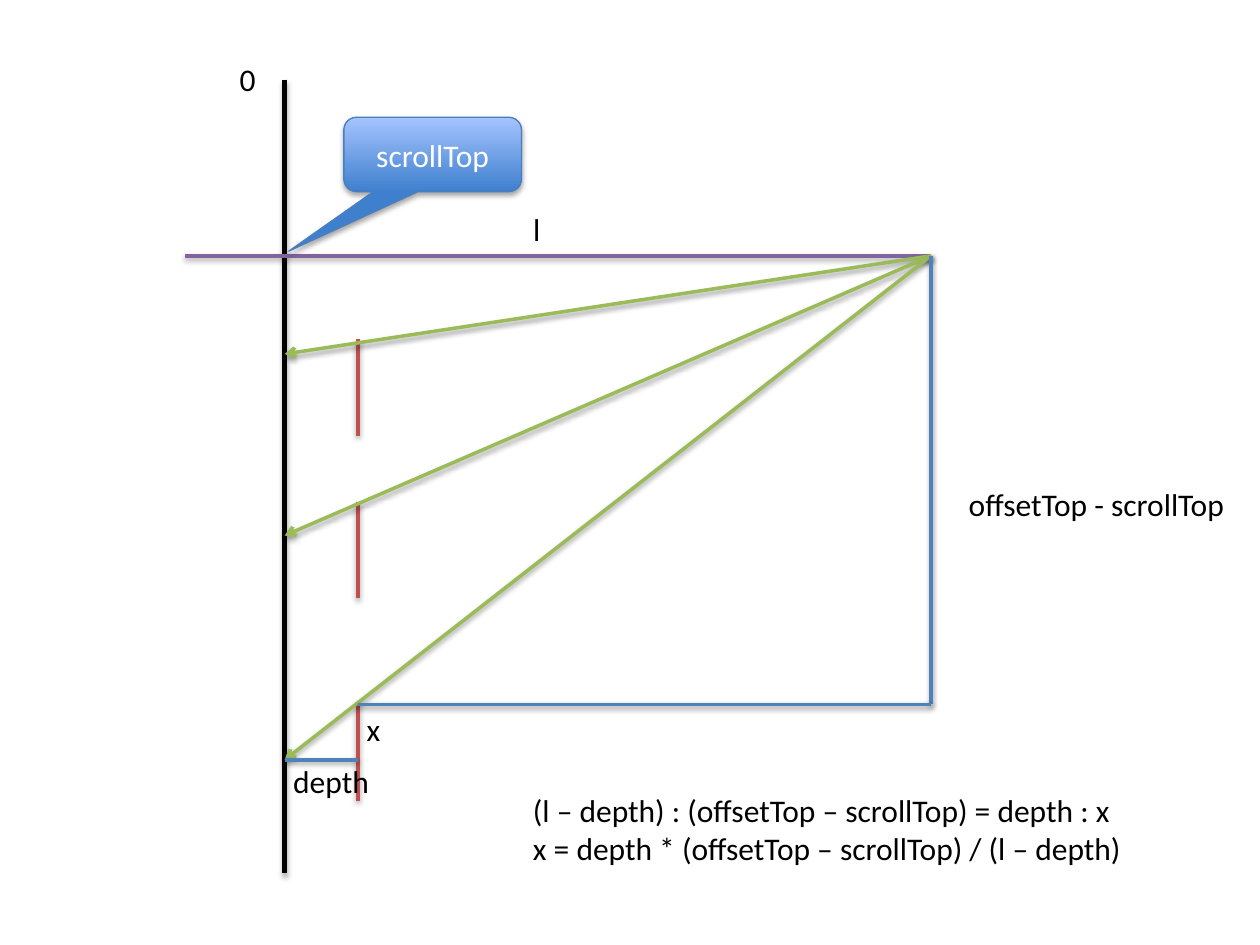
from pptx import Presentation
from pptx.dml.color import RGBColor
from pptx.enum.shapes import MSO_CONNECTOR, MSO_SHAPE
from pptx.enum.text import MSO_ANCHOR, MSO_AUTO_SIZE, PP_ALIGN
from pptx.oxml import parse_xml
from pptx.oxml.ns import nsdecls
from pptx.util import Pt

BLACK = RGBColor(0x00, 0x00, 0x00)
WHITE = RGBColor(0xFF, 0xFF, 0xFF)
RED = RGBColor(0xC0, 0x50, 0x4D)
PURPLE = RGBColor(0x80, 0x64, 0xA2)
GREEN = RGBColor(0x9B, 0xBB, 0x59)
BLUE = RGBColor(0x4F, 0x81, 0xBD)
EDGE = RGBColor(0x4B, 0x7E, 0xBC)
DEEP = RGBColor(0x3F, 0x80, 0xCE)
PALE = RGBColor(0xA4, 0xC4, 0xFF)


def shade(shape, far, alpha):
    shape._element.spPr.append(parse_xml(
        f'<a:effectLst {nsdecls("a")}>'
        f'<a:outerShdw blurRad="{Pt(3.1)}" dist="{Pt(far)}" dir="5400000" rotWithShape="0">'
        f'<a:srgbClr val="000000"><a:alpha val="{alpha}000"/></a:srgbClr>'
        '</a:outerShdw></a:effectLst>'))


def style(frame, color):
    for para in frame.paragraphs:
        for run in para.runs:
            run.font.name = "Calibri"
            run.font.size = Pt(18)
            run.font.color.rgb = color


deck = Presentation()
deck.slide_width, deck.slide_height = Pt(720), Pt(540)
slide = deck.slides.add_slide(deck.slide_layouts[6])
shapes = slide.shapes

axis, front, eye = 162.7, 204.5, 532.1
top, base, foot = 146.2, 402.5, 434.2
tall = 55.2

lines = [(axis, 45.5, axis, 499, BLACK)]
lines += [(front, y, front, y + tall, RED) for y in (193.7, 286.6, base)]
lines.append((105.8, top, eye, top, PURPLE))
lines += [(eye, top, axis, y, GREEN) for y in (202.3, 306, foot)]
lines += [
    (eye, top, eye, base, BLUE),
    (eye, base, front, base, BLUE),
    (axis, foot, front, foot, BLUE),
]
for *ends, color in lines:
    line = shapes.add_connector(MSO_CONNECTOR.STRAIGHT, *map(Pt, ends))
    line.line.color.rgb = color
    line.line.width = Pt(3 if color == BLACK else 2)
    if color == GREEN:
        line.line._get_or_add_ln().append(
            parse_xml(f'<a:tailEnd {nsdecls("a")} type="arrow"/>'))
    if color == BLACK:
        shade(line, 1.8, 35)
    else:
        shade(line, 1.6, 38)

call = shapes.add_shape(MSO_SHAPE.ROUNDED_RECTANGULAR_CALLOUT,
                        Pt(196.5), Pt(67), Pt(101.5), Pt(42.5))
for i, value in enumerate((-0.81, 1.3, 0.17)):
    call.adjustments[i] = value
call.fill.gradient()
call.fill.gradient_angle = 90
for stop, color, spot in zip(call.fill.gradient_stops, (DEEP, PALE), (0, 1)):
    stop.color.rgb = color
    stop.position = spot
call.line.color.rgb = EDGE
call.line.width = Pt(0.75)
shade(call, 1.8, 35)
frame = call.text_frame
frame.text = "scrollTop"
frame.vertical_anchor = MSO_ANCHOR.MIDDLE
frame.paragraphs[0].alignment = PP_ALIGN.CENTER
style(frame, WHITE)

labels = [
    ("0", 129.8, 31, 23.5, 29),
    ("offsetTop - scrollTop", 546.5, 273.6, 165.5, 29),
    ("depth", 160.5, 432, 58.5, 29),
    ("x", 202.5, 402, 22.5, 29),
    ("l", 297.5, 116.6, 18.5, 29),
    ("(l – depth) : (offsetTop – scrollTop) = depth : x\v"
     "x = depth * (offsetTop – scrollTop) / (l – depth)", 297.5, 448.6, 360, 51),
]
for text, *area in labels:
    box = shapes.add_textbox(*map(Pt, area))
    frame = box.text_frame
    frame.word_wrap = False
    frame.auto_size = MSO_AUTO_SIZE.SHAPE_TO_FIT_TEXT
    frame.paragraphs[0].text = text
    style(frame, BLACK)

deck.save("out.pptx")
